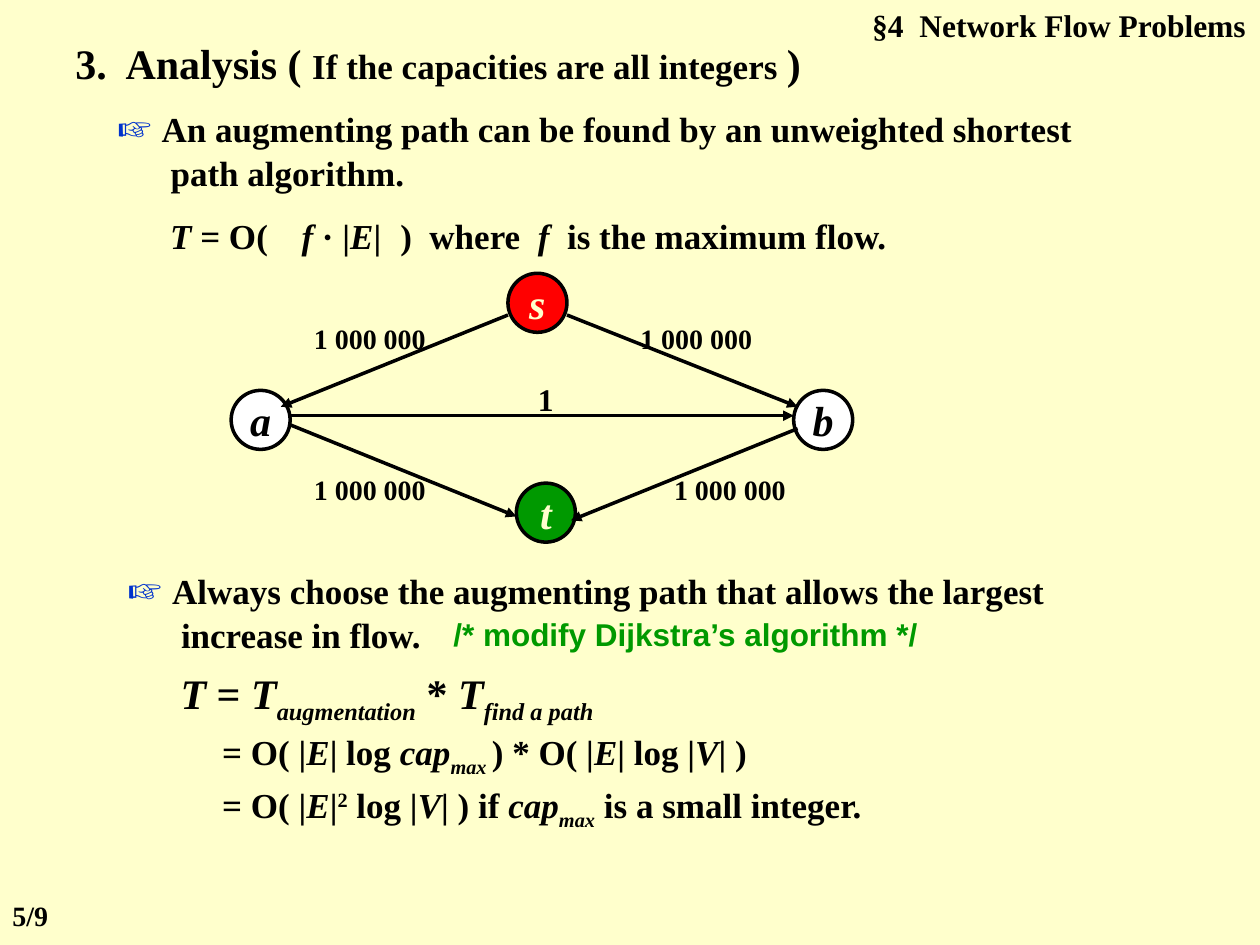
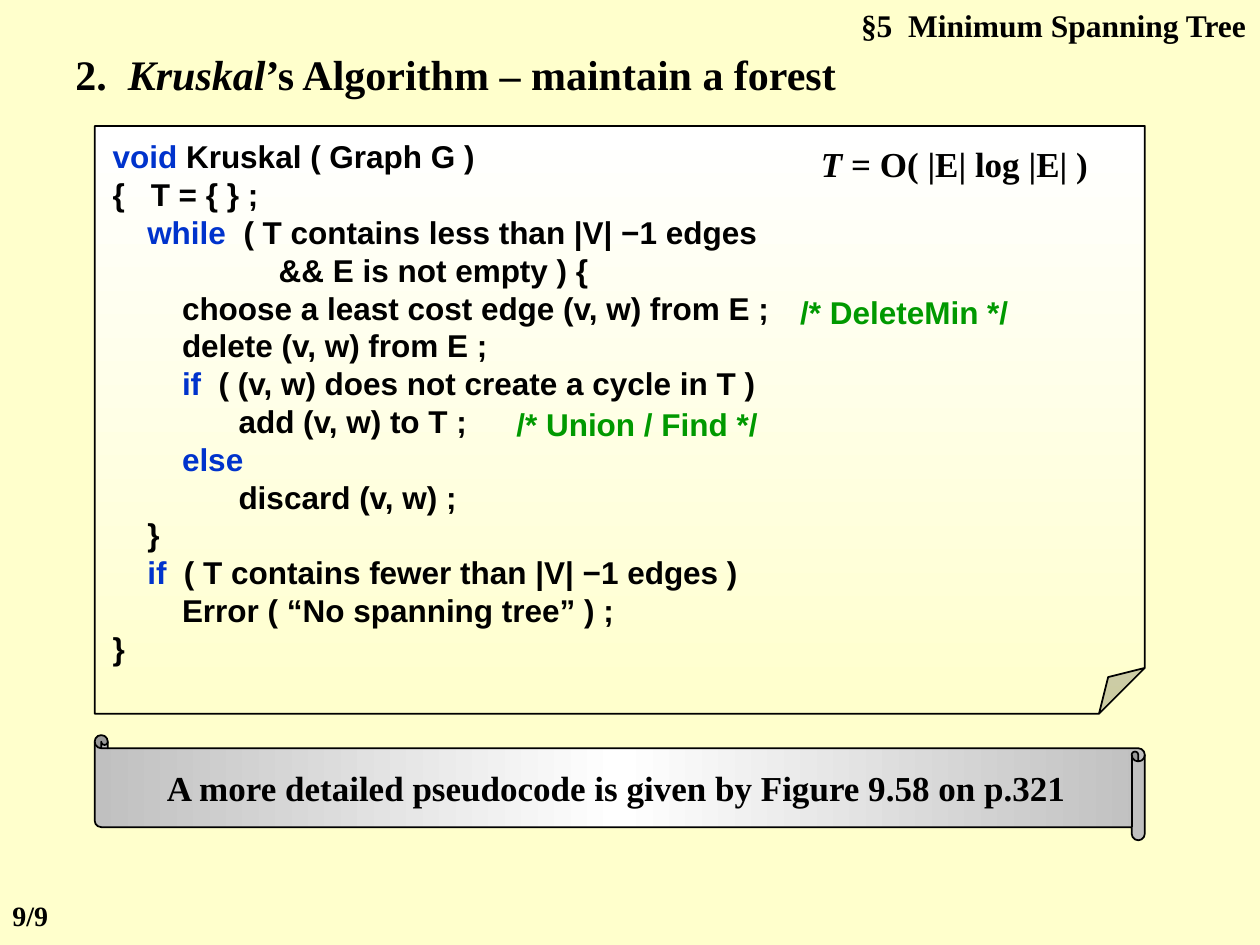
from dataclasses import dataclass
from typing import Optional, Sequence, Union

from lxml.etree import SubElement
from pptx import Presentation
from pptx.dml.color import RGBColor
from pptx.enum.shapes import MSO_CONNECTOR, MSO_SHAPE
from pptx.enum.text import MSO_ANCHOR, MSO_AUTO_SIZE, PP_ALIGN
from pptx.oxml.ns import qn
from pptx.util import Cm, Pt

INK = {
    "page": "FFFFCC", "text": "000000", "mark": "0033CC", "note": "009900",
    "source": "FF0000", "plain": "FFFFFF", "grey": "C0C0C0",
}
SERIF, SANS = "Times New Roman", "Arial"
LEFT, MID, RIGHT = PP_ALIGN.LEFT, PP_ALIGN.CENTER, PP_ALIGN.RIGHT
NODE = 1.19  # diameter of a graph node, in cm


@dataclass
class Run:
    """A piece of text that differs from its paragraph."""
    text: str
    slant: bool = False
    base: int = 0
    size: Optional[float] = None
    ink: Optional[str] = None


@dataclass
class Style:
    """The font and layout that a whole paragraph shares."""
    size: float = 20
    face: str = SERIF
    ink: str = "text"
    align: PP_ALIGN = LEFT
    slant: bool = False
    left: float = 0
    first: float = 0
    tab: float = 0


@dataclass
class Node:
    """A round vertex of the flow graph."""
    name: str
    x: float
    y: float
    fill: str
    ink: str = "text"


@dataclass
class Edge:
    """An arrow of the flow graph with its capacity label."""
    start: tuple
    end: tuple
    text: str
    place: tuple
    size: float = 16


Piece = Union[str, Run]


def it(text: str) -> Run:
    """Return an italic run."""
    return Run(text, slant=True)


def sub(text: str) -> Run:
    """Return an italic subscript run."""
    return Run(text, slant=True, base=-25)


def key(text: str) -> Run:
    """Return a keyword run."""
    return Run(text, ink="mark")


def tint(name: str) -> RGBColor:
    """Look up a colour by name."""
    return RGBColor.from_string(INK[name])


def write(para, parts: Sequence[Piece], style: Style) -> None:
    """Fill one paragraph with runs in a shared style."""
    para.alignment = style.align
    font = para.font
    font.name, font.size, font.bold = style.face, Pt(style.size), True
    font.color.rgb = tint(style.ink)
    if style.slant:
        font.italic = True
    props = para._p.get_or_add_pPr()
    if style.left:
        props.set("marL", str(int(Cm(style.left))))
        props.set("indent", str(int(Cm(style.first))))
    if style.tab:
        stops = SubElement(props, qn("a:tabLst"))
        SubElement(stops, qn("a:tab"), pos=str(int(Cm(style.tab))), algn="l")
        props.insert(0, stops)
    for part in parts:
        part = Run(part) if isinstance(part, str) else part
        run = para.add_run()
        run.text = part.text
        if part.slant:
            run.font.italic = True
        if part.size:
            run.font.size = Pt(part.size)
        if part.ink:
            run.font.color.rgb = tint(part.ink)
        if part.base:
            run._r.get_or_add_rPr().set("baseline", str(part.base * 1000))


def label(slide, box: tuple, parts: Sequence[Piece], style: Style) -> None:
    """Add a one-paragraph text box."""
    frame = slide.shapes.add_textbox(*map(Cm, box)).text_frame
    frame.word_wrap = True
    frame.auto_size = MSO_AUTO_SIZE.SHAPE_TO_FIT_TEXT
    write(frame.paragraphs[0], parts, style)


def point(slide, x: float, y: float, text: str) -> None:
    """Add a hanging point led by a pointing hand."""
    label(slide, (x, y, 20.75, 2.11), [Run("☞ ", size=24, ink="mark"), text],
          Style(left=1.07, first=-1.07))


def panel(slide, kind: MSO_SHAPE, box: tuple, width: float):
    """Add a black-edged preset shape without a shadow."""
    shape = slide.shapes.add_shape(kind, *map(Cm, box))
    shape.shadow.inherit = False
    shape.line.color.rgb = tint("text")
    shape.line.width = Pt(width)
    return shape


def shade(shape, inks: Sequence[str], angle: float) -> None:
    """Fill a shape with evenly spaced gradient stops."""
    shape.fill.gradient()
    shape.fill.gradient_angle = angle
    stops = shape._element.spPr.find(qn("a:gradFill")).find(qn("a:gsLst"))
    for stop in list(stops):
        stops.remove(stop)
    for i, ink in enumerate(inks):
        stop = SubElement(stops, qn("a:gs"),
                          pos=str(100000 * i // (len(inks) - 1)))
        SubElement(stop, qn("a:srgbClr"), val=INK[ink])


def centre(shape, text: str, style: Style) -> None:
    """Write one unwrapped line in the middle of a shape."""
    frame = shape.text_frame
    frame.word_wrap = False
    frame.vertical_anchor = MSO_ANCHOR.MIDDLE
    write(frame.paragraphs[0], [text], style)


def draw_node(slide, node: Node) -> None:
    """Draw a graph node."""
    shape = panel(slide, MSO_SHAPE.OVAL, (node.x, node.y, NODE, NODE), 2)
    shape.fill.solid()
    shape.fill.fore_color.rgb = tint(node.fill)
    centre(shape, node.name, Style(24, ink=node.ink, align=MID, slant=True))


def draw_edge(slide, edge: Edge) -> None:
    """Draw an arrow between two points."""
    line = slide.shapes.add_connector(
        MSO_CONNECTOR.STRAIGHT, *map(Cm, edge.start + edge.end))
    line.line.color.rgb = tint("text")
    line.line.width = Pt(2)
    SubElement(line.line._get_or_add_ln(), qn("a:tailEnd"), type="triangle")
    SubElement(line._element.spPr, qn("a:effectLst"))


def add_page(deck, head: str, title: Sequence[Piece], top: float, count: str):
    """Add a slide with section head, title and page count."""
    slide = deck.slides.add_slide(deck.slide_layouts[6])
    slide.background.fill.solid()
    slide.background.fill.fore_color.rgb = tint("page")
    label(slide, (15.37, 0, 10, 1.02), [head], Style(18, align=RIGHT))
    label(slide, (1.27, top, 17, 1.27), title, Style(24))
    label(slide, (0, 17.99, 2.12, 0.94), [count], Style(16))
    return slide


def flow_page(deck) -> None:
    """Build the slide on network flow analysis."""
    slide = add_page(deck, "§4  Network Flow Problems", [
        "3.  Analysis ( ", Run("If the capacities are all integers ", size=20),
        ")"], 0.64, "5/9")
    point(slide, 2.12, 1.91, "An augmenting path can be found by an "
          "unweighted shortest path algorithm.")
    label(slide, (3.18, 4.19, 15.67, 1.09), [
        it("T"), " = O(\t)  where  ", it("f"), "  is the maximum flow."],
        Style(tab=4.64))
    label(slide, (5.72, 4.19, 2.33, 1.09),
          [it("f"), " · |", it("E"), "|"], Style(align=MID))

    for node in (Node("s", 10.24, 5.51, "source", "page"),
                 Node("t", 10.41, 9.74, "note", "page"),
                 Node("a", 4.66, 7.87, "plain"),
                 Node("b", 16, 7.87, "plain")):
        draw_node(slide, node)
    big = "1 000 000"
    edges = (
        Edge((10.24, 6.35), (5.66, 8.2), big, (6.02, 6.35)),
        Edge((11.43, 6.35), (16.08, 8.2), big, (12.6, 6.35)),
        Edge((5.84, 8.56), (10.41, 10.41), big, (6.02, 9.4)),
        Edge((16.08, 8.64), (11.51, 10.49), big, (13.28, 9.4)),
        Edge((5.84, 8.38), (16, 8.38), "1", (9.57, 7.54), 18),
    )
    for edge in edges:
        draw_edge(slide, edge)
    for edge in edges:
        label(slide, edge.place + (2.87, 0.94), [edge.text],
              Style(edge.size, align=MID))

    point(slide, 2.33, 11.22, "Always choose the augmenting path that allows "
          "the largest increase in flow.")
    label(slide, (8.89, 12.28, 10.58, 1.02),
          ["/* modify Dijkstra’s algorithm */"], Style(18, SANS, "note"))
    label(slide, (3.39, 13.34, 10.8, 1.27), [
        it("T"), " = ", it("T"), sub("augmentation"), " * ", it("T"),
        sub("find a path")], Style(24))
    label(slide, (4.23, 14.61, 13.55, 1.09), [
        "= O( |", it("E"), "| log ", it("cap"), sub("max "), ") * O( |",
        it("E"), "| log |", it("V"), "| )"], Style())
    label(slide, (4.23, 15.67, 16.72, 1.09), [
        "= O( |", it("E"), "|", Run("2", base=30), " log |", it("V"),
        "| ) if ", it("cap"), sub("max"), " is a small integer."], Style())


def tree_page(deck) -> None:
    """Build the slide on spanning trees."""
    slide = add_page(deck, "§5  Minimum Spanning Tree", [
        "2.  ", it("Kruskal"), "’s Algorithm – maintain a forest"],
        0.85, "9/9")
    sheet = panel(slide, MSO_SHAPE.FOLDED_CORNER, (1.91, 2.54, 21.17, 11.85), 1)
    guides = sheet._element.spPr.find(qn("a:prstGeom")).find(qn("a:avLst"))
    SubElement(guides, qn("a:gd"), name="adj", fmla="val 7800")
    shade(sheet, ("plain", "page"), 270)
    frame = sheet.text_frame
    frame.word_wrap = True
    frame.vertical_anchor = MSO_ANCHOR.TOP
    frame.margin_left, frame.margin_top = Cm(0.36), Cm(0.23)

    step, deep, cond = 0.7, 2.54, 3.35
    code = (
        (0, key("void"), " Kruskal ( Graph G )"),
        (0, "{\tT = { } ;"),
        (step, key("while"), "  ( T contains less than |V| −1 edges"),
        (cond, "&& E is not empty ) {"),
        (2 * step, "choose a least cost edge (v, w) from E ;"),
        (2 * step, "delete (v, w) from E ;"),
        (2 * step, key("if"), "  ( (v, w) does not create a cycle in T )"),
        (deep, "add (v, w) to T ;"),
        (2 * step, key("else")),
        (deep, "discard (v, w) ;"),
        (step, "}"),
        (step, key("if"), "  ( T contains fewer than |V| −1 edges )"),
        (2 * step, "Error ( “No spanning tree” ) ;"),
        (0, "}"),
    )
    for i, (left, *parts) in enumerate(code):
        para = frame.add_paragraph() if i else frame.paragraphs[0]
        write(para, parts, Style(18, SANS, left=left, tab=0.77))

    note = Style(18, SANS, "note")
    label(slide, (15.88, 5.79, 5.08, 1.02), ["/* DeleteMin */"], note)
    label(slide, (10.16, 8.05, 6.15, 1.02), ["/* Union / Find */"], note)
    scroll = panel(slide, MSO_SHAPE.HORIZONTAL_SCROLL,
                   (1.91, 14.82, 21.17, 2.12), 1)
    scroll._element.spPr.xfrm.set("flipH", "1")
    shade(scroll, ("grey", "plain", "grey"), 0)
    centre(scroll, "A more detailed pseudocode is given by Figure 9.58 "
           "on p.321", Style(align=MID))
    label(slide, (16.3, 2.75, 5.93, 1.09),
          [it("T"), " = O( |E| log |E| )"], Style())


def main() -> None:
    """Build and save the deck."""
    deck = Presentation()
    deck.slide_width, deck.slide_height = Cm(25.4), Cm(19.05)
    flow_page(deck)
    tree_page(deck)
    deck.save("out.pptx")


main()
